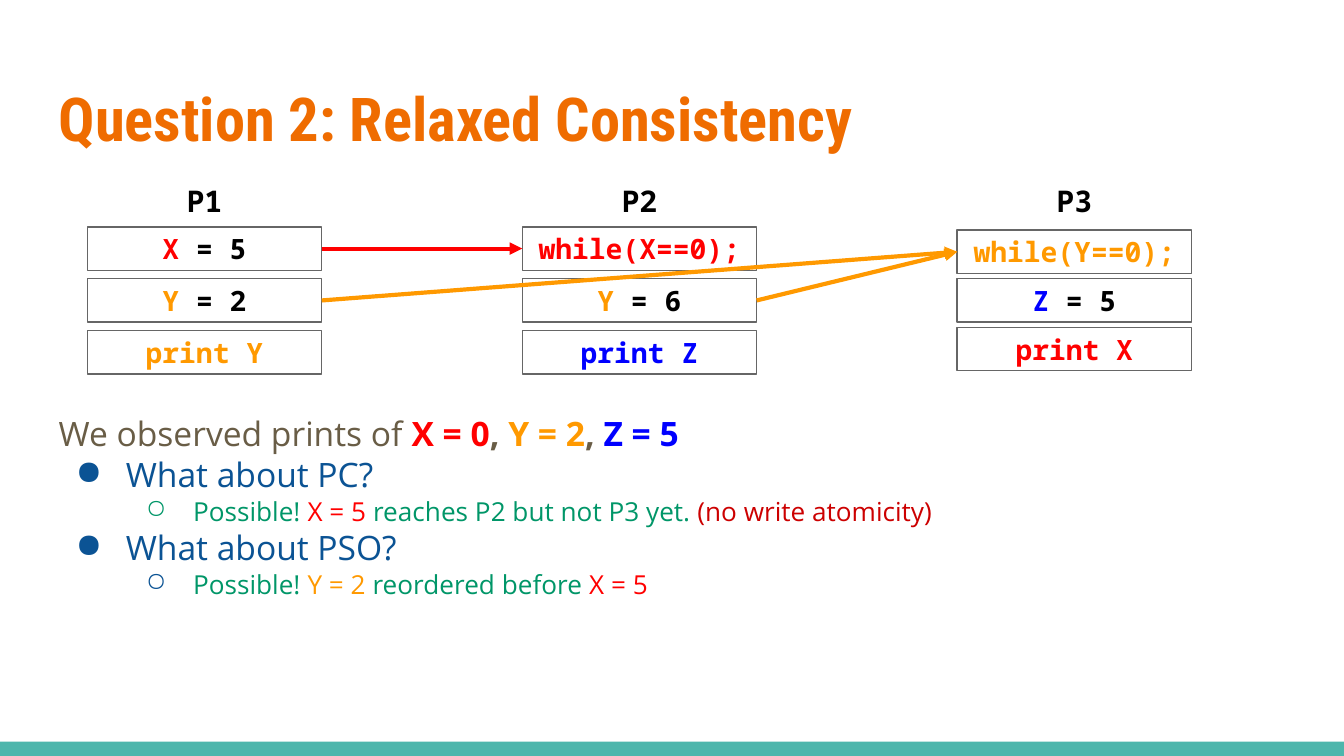
from lxml import etree
from pptx import Presentation
from pptx.dml.color import RGBColor
from pptx.enum import shapes, text
from pptx.oxml.ns import qn
from pptx.util import Cm, Pt

WHITE = RGBColor(0xFF, 0xFF, 0xFF)
BLACK = RGBColor(0, 0, 0)
GRAY = RGBColor(0x66, 0x66, 0x66)
TEAL = RGBColor(0x4D, 0xB6, 0xAC)
TITLE_ORANGE = RGBColor(0xEF, 0x6C, 0x00)
BROWN = RGBColor(0x69, 0x5D, 0x46)
NAVY = RGBColor(0x0B, 0x53, 0x94)
GREEN = RGBColor(0, 0x96, 0x68)
DARK_RED = RGBColor(0xCC, 0, 0)
RED = RGBColor(0xFF, 0, 0)
ORANGE = RGBColor(0xFF, 0x99, 0)
BLUE = RGBColor(0, 0, 0xFF)

MONO, SANS, HEADING = "Noto Sans Mono", "Open Sans", "Roboto Condensed"

COLUMN_LEFT, COLUMN_PITCH = 1.65, 8.22
BOX_WIDTH, BOX_HEIGHT, MIDDLE_ROW_TOP = 4.43, 0.82, 5.27
LABEL_WIDTH = 2.08

# Label, row pitch in cm, and the (text, colour) spans of each instruction.
PROCESSORS = [
    ("P1", 0.98, [[("X", RED), (" = 5", BLACK)],
                  [("Y ", ORANGE), ("= 2", BLACK)],
                  [("print Y", ORANGE)]]),
    ("P2", 0.98, [[("while(X==0);", RED)],
                  [("Y ", ORANGE), ("= 6", BLACK)],
                  [("print Z", BLUE)]]),
    ("P3", 0.92, [[("while(Y==0);", ORANGE)],
                  [("Z", BLUE), (" = 5", BLACK)],
                  [("print X", RED)]]),
]

OBSERVED = [("X = 0", RED), (", ", BROWN), ("Y = 2", ORANGE), (", ", BROWN),
            ("Z = 5", BLUE)]

# Question, bullet colour of its answer, and the answer's spans.
ANSWERS = [
    ("What about PC?", GREEN,
     [("Possible! ", GREEN), ("X = 5", RED),
      (" reaches P2 but not P3 yet. ", GREEN),
      ("(no write atomicity)", DARK_RED)]),
    ("What about PSO?", NAVY,
     [("Possible! ", GREEN), ("Y = 2", ORANGE),
      (" reordered before ", GREEN), ("X = 5", RED)]),
]


def add_spans(para, spans, font, size, bold=False):
    for words, color in spans:
        span = para.add_run()
        span.text = words
        span.font.name = font
        span.font.size = Pt(size)
        span.font.bold = bold
        span.font.color.rgb = color


def set_margins(frame):
    frame.word_wrap = True
    frame.margin_left = frame.margin_right = Cm(0.25)
    frame.margin_top = frame.margin_bottom = Cm(0.25)


def add_text_box(page, left, top, width, height):
    box = page.shapes.add_textbox(Cm(left), Cm(top), Cm(width), Cm(height))
    set_margins(box.text_frame)
    return box.text_frame


def add_rectangle(page, left, top, width, height, fill):
    box = page.shapes.add_shape(shapes.MSO_SHAPE.RECTANGLE,
                                Cm(left), Cm(top), Cm(width), Cm(height))
    box.shadow.inherit = False
    box.fill.solid()
    box.fill.fore_color.rgb = fill
    box.line.fill.background()
    return box


def add_instruction(page, left, top, spans):
    box = add_rectangle(page, left, top, BOX_WIDTH, BOX_HEIGHT, WHITE)
    box.line.color.rgb = GRAY
    box.line.width = Pt(0.75)
    frame = box.text_frame
    set_margins(frame)
    frame.vertical_anchor = text.MSO_ANCHOR.MIDDLE
    para = frame.paragraphs[0]
    para.alignment = text.PP_ALIGN.CENTER
    add_spans(para, spans, MONO, 15, True)
    return box


def add_processor(page, column, label, row_pitch, instructions):
    """Draw one labelled column and return its instruction boxes."""
    left = COLUMN_LEFT + column * COLUMN_PITCH
    frame = add_text_box(page, left + (BOX_WIDTH - LABEL_WIDTH) / 2, 3.1,
                         LABEL_WIDTH, 1.19)
    para = frame.paragraphs[0]
    para.alignment = text.PP_ALIGN.CENTER
    para.line_spacing = 1.15
    add_spans(para, [(label, BLACK)], MONO, 16, True)
    return [add_instruction(page, left, MIDDLE_ROW_TOP + (row - 1) * row_pitch,
                            spans)
            for row, spans in enumerate(instructions)]


def add_arrow(page, source, target, color):
    """Join the right side of source to the left side of target."""
    arrow = page.shapes.add_connector(shapes.MSO_CONNECTOR.STRAIGHT, 0, 0, 0, 0)
    arrow.begin_connect(source, 3)
    arrow.end_connect(target, 1)
    arrow.line.color.rgb = color
    arrow.line.width = Pt(2.25)
    etree.SubElement(arrow.line._get_or_add_ln(), qn("a:tailEnd"),
                     type="triangle")
    etree.SubElement(arrow._element.spPr, qn("a:effectLst"))


def set_bullet(para, mark, color, left, hanging):
    properties = para._p.get_or_add_pPr()
    properties.set("marL", str(Cm(left)))
    properties.set("indent", str(-Cm(hanging)))
    bullet_color = etree.SubElement(properties, qn("a:buClr"))
    etree.SubElement(bullet_color, qn("a:srgbClr"), val=str(color))
    etree.SubElement(properties, qn("a:buChar"), char=mark)


def add_discussion(page):
    frame = add_text_box(page, 0.86, 7.54, 23.67, 5.66)
    para = frame.paragraphs[0]
    add_spans(para, [("We observed prints of ", BROWN)], SANS, 18)
    add_spans(para, OBSERVED, SANS, 18, True)
    for question, bullet_color, answer in ANSWERS:
        para = frame.add_paragraph()
        set_bullet(para, "●", NAVY, 1.27, 0.95)
        add_spans(para, [(question, NAVY)], SANS, 18)
        para = frame.add_paragraph()
        para.level = 1
        set_bullet(para, "○", bullet_color, 2.54, 0.89)
        add_spans(para, answer, SANS, 14)
    for para in frame.paragraphs:
        para.line_spacing = 1.02


def add_title(page, words):
    frame = add_text_box(page, 0.86, 1.24, 23.67, 1.96)
    frame.vertical_anchor = text.MSO_ANCHOR.MIDDLE
    add_spans(frame.paragraphs[0], [(words, TITLE_ORANGE)], HEADING, 32.4, True)


def main():
    deck = Presentation()
    deck.slide_width, deck.slide_height = Cm(25.4), Cm(14.29)
    page = deck.slides.add_slide(deck.slide_layouts[6])
    add_rectangle(page, 0, 14.02, 25.4, 0.27, TEAL)
    add_title(page, "Question 2: Relaxed Consistency")
    add_discussion(page)
    first, second, third = [add_processor(page, column, *processor)
                            for column, processor in enumerate(PROCESSORS)]
    add_arrow(page, first[1], third[0], ORANGE)
    add_arrow(page, second[1], third[0], ORANGE)
    add_arrow(page, first[0], second[0], RED)
    deck.save("out.pptx")


if __name__ == "__main__":
    main()
